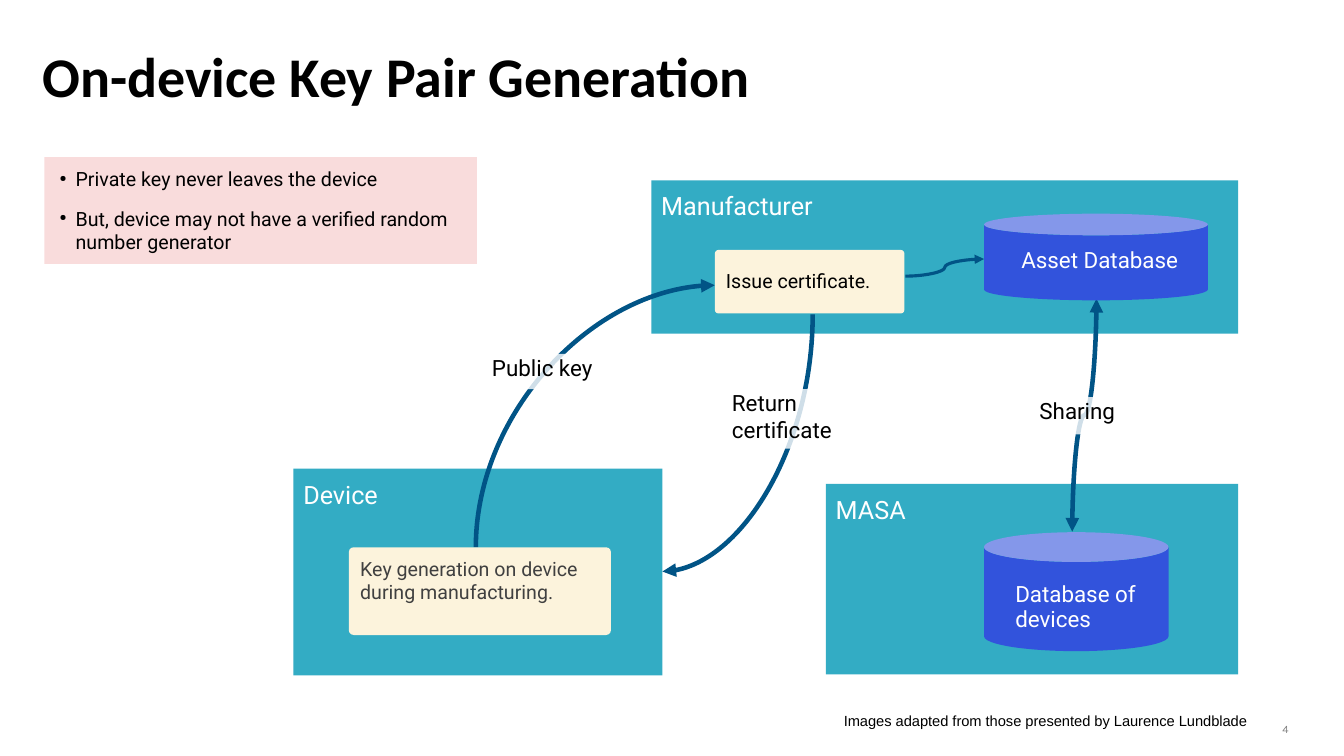
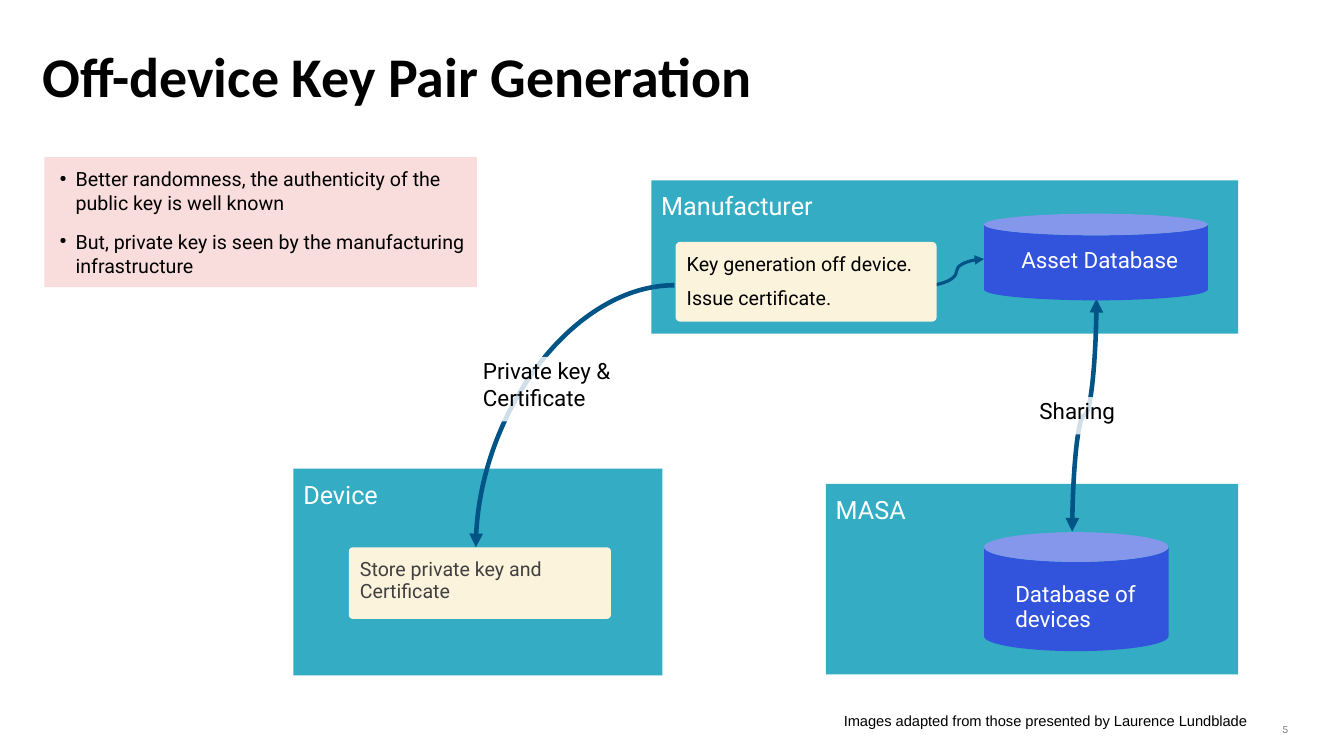
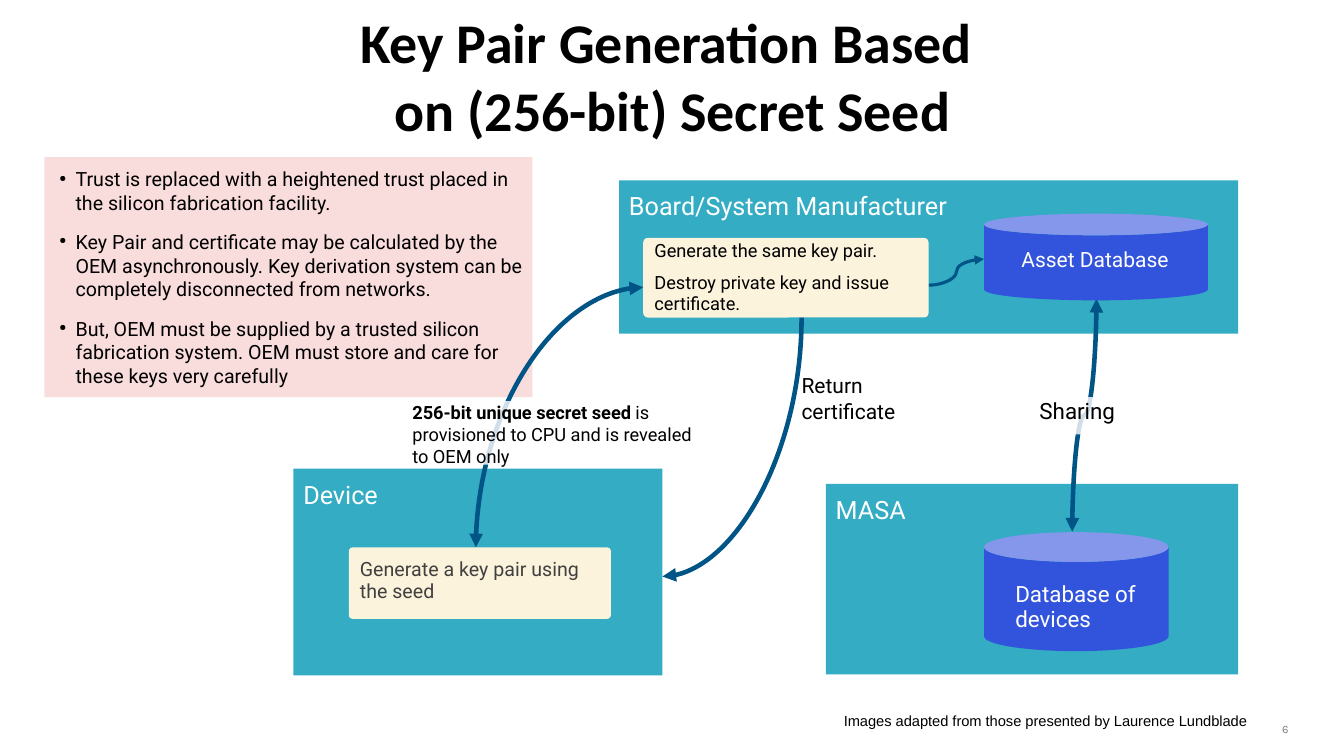
from dataclasses import dataclass

from lxml import etree
from pptx import Presentation
from pptx import util as u
from pptx.dml import color as c
from pptx.enum import shapes, text
from pptx.oxml import ns

PX = 9144


@dataclass(frozen=True)
class Theme:
    panel: str = "33ACC4"
    card: str = "FCF3DC"
    note: str = "F9DCDC"
    database: str = "3253DC"
    arrow: str = "015486"
    black: str = "000000"
    white: str = "FFFFFF"
    dark: str = "404040"
    grey: str = "808080"
    title_font: str = "Calibri"
    body_font: str = "Roboto"
    credit_font: str = "Arial"
    number_font: str = "Karla"
    title_size: float = 40
    panel_size: float = 18
    label_size: float = 16
    small_label_size: float = 15
    body_size: float = 14
    small_size: float = 13
    credit_size: float = 10.5
    number_size: float = 8


theme = Theme()
kinds = shapes.MSO_SHAPE
left, center, right = text.PP_ALIGN.LEFT, text.PP_ALIGN.CENTER, text.PP_ALIGN.RIGHT
top, middle = text.MSO_ANCHOR.TOP, text.MSO_ANCHOR.MIDDLE


def add_box(slide, place, kind=None, fill=None, opacity=100):
    place = [n * PX for n in place]
    if kind is None:
        return slide.shapes.add_textbox(*place)
    shape = slide.shapes.add_shape(kind, *place)
    shape.shadow.inherit = False
    shape.line.fill.background()
    shape.fill.solid()
    shape.fill.fore_color.rgb = c.RGBColor.from_string(fill)
    if opacity < 100:
        rgb = shape.element.spPr.find(".//" + ns.qn("a:srgbClr"))
        etree.SubElement(rgb, ns.qn("a:alpha"), val=str(opacity * 1000))
    if kind == kinds.ROUNDED_RECTANGLE:
        shape.adjustments[0] = 0.056
    return shape


def write(shape, *paragraphs, size=theme.body_size, ink=theme.black, font=theme.body_font,
          bold=False, lead="", align=left, anchor=top, insets=(10, 10, 10, 10),
          spacing=None, before=0, after=0, bullet=False):
    frame = shape.text_frame
    frame.word_wrap = True
    frame.auto_size = text.MSO_AUTO_SIZE.NONE
    frame.vertical_anchor = anchor
    frame.margin_left, frame.margin_top, frame.margin_right, frame.margin_bottom = [n * PX for n in insets]
    for index, words in enumerate(paragraphs):
        paragraph = frame.add_paragraph() if index else frame.paragraphs[0]
        paragraph.alignment = align
        paragraph.line_spacing = spacing
        paragraph.space_before, paragraph.space_after = u.Pt(before), u.Pt(after)
        paragraph.text = lead + words
        if lead:
            paragraph.text = lead
            paragraph.add_run().text = words
        for position, run in enumerate(paragraph.runs):
            run.font.name, run.font.size = font, u.Pt(size)
            run.font.bold = bold or bool(lead and position == 0)
            run.font.color.rgb = c.RGBColor.from_string(ink)
        if bullet:
            properties = paragraph._p.get_or_add_pPr()
            properties.set("marL", str(16 * PX))
            properties.set("indent", str(-16 * PX))
            bullet_color = etree.SubElement(properties, ns.qn("a:buClr"))
            etree.SubElement(bullet_color, ns.qn("a:srgbClr"), val=theme.black)
            etree.SubElement(properties, ns.qn("a:buSzPct"), val="45000")
            etree.SubElement(properties, ns.qn("a:buChar"), char="●")


ARC, WAVE = "curvedConnector2", "curvedConnector3"
HEAD, TAIL = ("headEnd",), ("tailEnd",)
BOTH = HEAD + TAIL
sharing_arrow = (1191, 424, 960, 400, WAVE, BOTH, 3.25, 90)
asset_arrow = (921, 283, 976, 257, WAVE, TAIL, 2.25, 0)
sharing_label = ((1031, 394, 94, 37), "Sharing", theme.label_size, "")

pages = [
    dict(
        number="4",
        title="On-device Key Pair Generation", title_place=(42, 25, 1250, 100), title_align=left,
        maker="Manufacturer", maker_left=646, asset_size=theme.label_size,
        note_size=(429, 106),
        note=["Private key never leaves the device",
              "But, device may not have a verified random number generator"],
        maker_card=(709, 248, 188, 63), maker_steps=["Issue certificate."], steps_size=theme.body_size,
        device_card_height=87, device_step="Key generation on device during manufacturing.",
        arrows=[(709, 283, 472, 543, ARC, HEAD, 3.25, 0),
                (657, 567, 806, 312, ARC, HEAD, 3.25, 0),
                (898, 274, 976, 257, WAVE, TAIL, 2.25, 0)],
        labels=[((488, 351, 120, 35), "Public key", theme.label_size, ""),
                ((726, 386, 159, 59), "Return certificate", theme.label_size, "")],
    ),
    dict(
        number="5",
        title="Off-device Key Pair Generation", title_place=(42, 25, 1250, 100), title_align=left,
        maker="Manufacturer", maker_left=646, asset_size=theme.label_size,
        note_size=(429, 129),
        note=["Better randomness, the authenticity of the public key is well known",
              "But, private key is seen by the manufacturing infrastructure"],
        maker_card=(670, 240, 259, 79), steps_size=theme.body_size,
        maker_steps=["Key generation off device.", "Issue certificate."],
        device_card_height=71, device_step="Store private key and Certificate",
        arrows=[(669, 283, 472, 543, ARC, TAIL, 3.25, 0), asset_arrow],
        labels=[((479, 354, 151, 64), "Private key & Certificate", theme.label_size, "")],
    ),
    dict(
        number="6",
        title="Key Pair Generation Based \von (256-bit) Secret Seed",
        title_place=(42, 7, 1250, 135), title_align=center,
        maker="Board/System Manufacturer", maker_left=614, asset_size=theme.small_label_size,
        note_size=(484, 238),
        note=["Trust is replaced with a heightened trust placed in the silicon fabrication facility.",
              "Key Pair and certificate may be calculated by the OEM asynchronously. "
              "Key derivation system can be completely disconnected from networks.",
              "But, OEM must be supplied by a trusted silicon fabrication system. "
              "OEM must store and care for these keys very carefully"],
        maker_card=(638, 236, 283, 79), steps_size=theme.small_size,
        maker_steps=["Generate the same key pair.", "Destroy private key and issue certificate."],
        device_card_height=71, device_step="Generate a key pair using the seed",
        arrows=[(638, 285, 472, 543, ARC, BOTH, 3.25, 0),
                (657, 572, 795, 315, ARC, HEAD, 3.25, 0), asset_arrow],
        labels=[((409, 398, 291, 63), " is provisioned to CPU and is revealed to OEM only",
                 theme.small_size, "256-bit unique secret seed"),
                ((795, 370, 110, 59), "Return certificate", theme.small_label_size, "")],
    ),
]

presentation = Presentation()
presentation.slide_width, presentation.slide_height = 1333 * PX, 750 * PX

for page in pages:
    slide = presentation.slides.add_slide(presentation.slide_layouts[5])
    title = slide.shapes.title
    title.left, title.top, title.width, title.height = [n * PX for n in page["title_place"]]
    write(title, page["title"], size=theme.title_size, font=theme.title_font, bold=True,
          align=page["title_align"], anchor=middle, insets=(0, 0, 0, 0))

    panels = [
        ((page["maker_left"], 179, 1228 - page["maker_left"], 152), page["maker"]),
        ((291, 465, 366, 205), "Device"),
        ((819, 480, 409, 189), "MASA"),
    ]
    for place, name in panels:
        write(add_box(slide, place, kinds.RECTANGLE, theme.panel), name,
              size=theme.panel_size, ink=theme.white)

    note = add_box(slide, (44, 156, *page["note_size"]), kinds.RECTANGLE, theme.note)
    write(note, *page["note"], before=11.3, bullet=True, insets=(15, 10, 0, 10))

    for x1, y1, x2, y2, geometry, ends, width, angle in [sharing_arrow] + page["arrows"]:
        arrow = slide.shapes.add_connector(shapes.MSO_CONNECTOR.CURVE, x1 * PX, y1 * PX, x2 * PX, y2 * PX)
        arrow.line.color.rgb = c.RGBColor.from_string(theme.arrow)
        arrow.line.width = u.Pt(width)
        properties = arrow.element.spPr
        properties.find(ns.qn("a:prstGeom")).set("prst", geometry)
        properties.find(ns.qn("a:xfrm")).set("rot", str(angle * 60000))
        for end in ends:
            etree.SubElement(properties.find(ns.qn("a:ln")), ns.qn("a:" + end), type="triangle")
        etree.SubElement(properties, ns.qn("a:effectLst"))

    maker_card = add_box(slide, page["maker_card"], kinds.ROUNDED_RECTANGLE, theme.card)
    write(maker_card, *page["maker_steps"], size=page["steps_size"], anchor=middle, spacing=0.95, after=7.8)
    device_card = add_box(slide, (346, 543, 260, page["device_card_height"]),
                          kinds.ROUNDED_RECTANGLE, theme.card)
    write(device_card, page["device_step"], ink=theme.dark, spacing=0.95, after=7.8)

    databases = [
        ((976, 212, 222, 86), (998, 236, 178, 45), "Asset Database", page["asset_size"]),
        ((976, 528, 183, 118), (992, 567, 161, 71), "Database of devices", theme.label_size),
    ]
    for can_place, name_place, name, size in databases:
        add_box(slide, can_place, kinds.CAN, theme.database)
        write(add_box(slide, name_place), name, size=size, ink=theme.white,
              spacing=0.95, before=12, insets=(15, 10, 0, 10))

    for place, words, size, lead in [sharing_label] + page["labels"]:
        label = add_box(slide, place, kinds.RECTANGLE, theme.white, opacity=81)
        write(label, words, size=size, lead=lead, insets=(0, 0, 0, 0))

    write(add_box(slide, (827, 701, 441, 39)), "Images adapted from those presented by Laurence Lundblade",
          size=theme.credit_size, font=theme.credit_font, insets=(10, 5, 10, 5))
    write(add_box(slide, (1200, 712, 78, 19)), page["number"], size=theme.number_size, ink=theme.grey,
          font=theme.number_font, align=right, anchor=middle, spacing=1.25, insets=(0, 0, 0, 0))

presentation.save("out.pptx")
